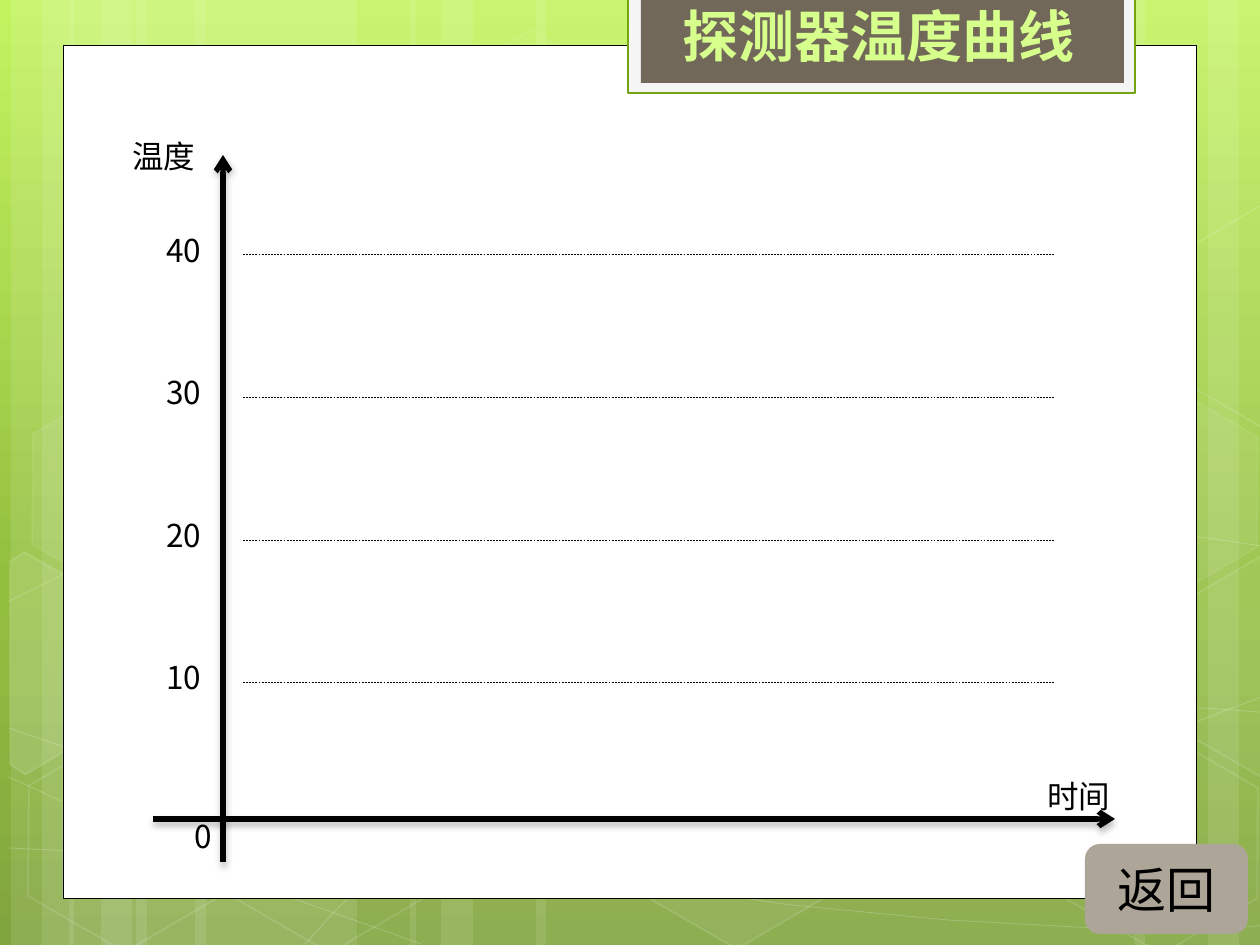
from copy import deepcopy
from math import cos, radians, sin

from lxml.etree import SubElement
from pptx import Presentation
from pptx.dml.color import RGBColor
from pptx.enum.dml import MSO_LINE
from pptx.enum.shapes import MSO_CONNECTOR, MSO_SHAPE
from pptx.enum.text import MSO_ANCHOR, MSO_AUTO_SIZE, PP_ALIGN
from pptx.oxml.ns import qn
from pptx.util import Pt

PX = 914400 // 126
SANS = "Noto Sans CJK SC"
TILT = 30


def paint(fill, color, alpha=100):
    """Give a fill one hex colour and an opacity in percent, or clear it."""
    if color is None:
        fill.background()
        return
    fill.solid()
    fill.fore_color.rgb = RGBColor.from_string(color)
    if alpha < 100:
        clr = fill._xPr.find(".//" + qn("a:srgbClr"))
        SubElement(clr, qn("a:alpha"), val=str(alpha * 1000))


def write(sp, text, font, size, color="000000", bold=False,
          align=PP_ALIGN.LEFT, anchor=MSO_ANCHOR.TOP):
    """Put one formatted line of text in a shape."""
    tf = sp.text_frame
    for name, value in {"word_wrap": True, "vertical_anchor": anchor,
                        "auto_size": MSO_AUTO_SIZE.NONE}.items():
        setattr(tf, name, value)
    p = tf.paragraphs[0]
    p.alignment = align
    r = p.add_run()
    r.text = text
    for name, value in {"name": font, "size": Pt(size), "bold": bold}.items():
        setattr(r.font, name, value)
    paint(r.font.fill, color)
    SubElement(r.font._element, qn("a:ea"), typeface=SANS)


prs = Presentation()
prs.slide_width, prs.slide_height = 1260 * PX, 945 * PX
s = prs.slides.add_slide(prs.slide_layouts[5])

# Background gradient
bg = s.background.fill
bg.gradient()
bg.gradient_angle = 270
stops = s.element.find(".//" + qn("a:gsLst"))
stops.insert(1, deepcopy(stops[0]))
for stop, color, place in zip(bg.gradient_stops, ("C3F35F", "93BF3F", "81A53E"), (0, 0.62, 1)):
    stop.color.rgb = RGBColor.from_string(color)
    stop.position = place

# Translucent vertical bands: left, width
bands = [(136, 221), (11, 63), (42, 105), (195, 221), (69, 63), (101, 105),
         (924, 221), (1208, 63), (1134, 105), (536, 388), (410, 63), (441, 105)]
for left, width in bands:
    sp = s.shapes.add_shape(MSO_SHAPE.RECTANGLE, left * PX, 0, width * PX, 945 * PX)
    sp.shadow.inherit = False
    paint(sp.fill, "FFFFFF", 10)
    paint(sp.line.fill, None)

# Thin curves: start point, then two control points and an end for each segment
curves = [
    [(9, 848), (77, 852), (145, 856), (239, 854), (334, 853), (451, 851), (577, 838),
     (703, 825), (882, 801), (998, 777), (1113, 753), (1231, 716), (1269, 694)],
    [(9, 601), (45, 581), (82, 562), (152, 543), (224, 524), (326, 496), (437, 488),
     (549, 479), (685, 478), (824, 488), (963, 498), (1193, 537), (1269, 547)],
    [(8, 777), (160, 847), (311, 916), (421, 944)],
    [(9, 728), (48, 742), (88, 756), (161, 776), (234, 795), (344, 827), (450, 848),
     (554, 869), (687, 892), (791, 905), (896, 919), (1008, 924), (1075, 927),
     (1140, 932), (1158, 930), (1191, 930), (1223, 929), (1246, 926), (1269, 925)],
    [(305, 944), (328, 919), (350, 893), (381, 871), (411, 848), (454, 823), (489, 805),
     (524, 788), (546, 780), (592, 767), (638, 755), (722, 737), (766, 728),
     (811, 719), (818, 719), (857, 717), (896, 713), (958, 709), (1000, 708),
     (1044, 707), (1116, 708), (1116, 708), (1116, 708), (1201, 708), (1201, 708),
     (1223, 709), (1245, 711), (1256, 712), (1268, 713), (1264, 712), (1268, 713)],
]
outlines = []
for pts in curves:
    line = [pts[0]]
    for i in range(0, len(pts) - 1, 3):
        (ax, ay), (bx, by), (cx, cy), end = pts[i:i + 4]
        line += [(round((ax + 3 * bx + 3 * cx + end[0]) / 8),
                  round((ay + 3 * by + 3 * cy + end[1]) / 8)), end]
    outlines.append((line, None, None, 0.5, 20))

# Hexagons cut by the slide edge: corners as seen, centre, fill opacity
cut_hexagons = [
    ([(10, 561), (24, 552), (121, 607), (120, 718), (25, 774), (10, 765)], (45, 674), 10),
    ([(1167, 611), (1261, 556), (1271, 562), (1271, 772), (1263, 777), (1167, 722)], (1241, 655), 4),
    ([(1167, 261), (1261, 205), (1272, 212), (1271, 422), (1263, 427), (1167, 372)], (1241, 304), None),
]
c, d = cos(radians(TILT)), sin(radians(TILT))
for pts, (cx, cy), alpha in cut_hexagons:
    upright = [(round(cx + (x - cx) * c + (y - cy) * d),
                round(cy - (x - cx) * d + (y - cy) * c)) for x, y in pts]
    outlines.append((upright, TILT, alpha, 1, 12))

for pts, tilt, fill_alpha, weight, line_alpha in outlines:
    builder = s.shapes.build_freeform(*pts[0], scale=PX)
    builder.add_line_segments(pts[1:], close=tilt is not None)
    sp = builder.convert_to_shape()
    sp.shadow.inherit = False
    sp.rotation = tilt or 0
    paint(sp.fill, "FFFFFF" if fill_alpha else None, fill_alpha or 100)
    paint(sp.line.fill, "FFFFFF", line_alpha)
    sp.line.width = Pt(weight)

# Whole hexagons: left, top, fill opacity, line opacity
hexagons = [(421, 45, 4, 8), (626, 742, 6, 12), (14, 745, None, 12), (18, 393, 7, 8),
            (219, 746, None, 12), (1051, 747, None, 12), (1051, 396, 7, 8)]
for left, top, fill_alpha, line_alpha in hexagons:
    sp = s.shapes.add_shape(MSO_SHAPE.HEXAGON, left * PX, top * PX, 221 * PX, 192 * PX)
    sp.shadow.inherit = False
    sp.adjustments[0], sp.adjustments[1] = 0.285, 1.155
    sp.rotation = TILT
    paint(sp.fill, "FFFFFF" if fill_alpha else None, fill_alpha or 100)
    paint(sp.line.fill, "FFFFFF", line_alpha)
    sp.line.width = Pt(1)

# White panel and title plate
panels = [((63, 45, 1134, 854), "FFFFFF", "000000", 0.5),
          ((628, -2, 507, 95), "F5F5F5", "74A510", 1.25),
          ((641, -2, 483, 85), "71685A", None, 0)]
for box, fill, outline, weight in panels:
    sp = s.shapes.add_shape(MSO_SHAPE.RECTANGLE, *(v * PX for v in box))
    sp.shadow.inherit = False
    paint(sp.fill, fill)
    paint(sp.line.fill, outline)
    if outline:
        sp.line.width = Pt(weight)

title = s.shapes.title
title.left, title.top, title.width, title.height = (v * PX for v in (670, -5, 464, 81))
write(title, "探测器温度曲线", "Roboto", 32, "D6FF8C", True)
s.shapes.element.append(title.element)

# Axes with arrowheads, then the dashed grid lines
axes = [(153, 819, 1115, 819), (223, 862, 223, 155)]
grid = [(243, y, 1055, y) for y in (254, 397, 540, 682)]
for ends in axes + grid:
    is_axis = ends in axes
    line = s.shapes.add_connector(MSO_CONNECTOR.STRAIGHT, *(v * PX for v in ends))
    paint(line.line.fill, "000000")
    line.line.width = Pt(3 if is_axis else 0.25)
    if not is_axis:
        line.line.dash_style = MSO_LINE.DASH
    sp_pr = line.element.spPr
    effects = SubElement(sp_pr, qn("a:effectLst"))
    if is_axis:
        SubElement(sp_pr.find(qn("a:ln")), qn("a:tailEnd"), type="arrow")
        shadow = SubElement(effects, qn("a:outerShdw"), blurRad=str(Pt(4)), dist=str(Pt(2)),
                            dir="5400000", rotWithShape="0")
        color = SubElement(shadow, qn("a:srgbClr"), val="000000")
        SubElement(color, qn("a:alpha"), val="28000")

# Axis names and tick labels
labels = [("时间", "League Spartan", (1035, 771, 136, 50)),
          ("温度", "League Spartan", (120, 131, 101, 50)),
          ("0", SANS, (182, 811, 89, 50))]
labels += [(str(40 - 10 * i), SANS, (154, 225 + round(142.3 * i), 89, 58)) for i in range(4)]
for text, font, box in labels:
    write(s.shapes.add_textbox(*(v * PX for v in box)), text, font, 18)

# Return button
button = s.shapes.add_shape(MSO_SHAPE.ROUNDED_RECTANGLE, *(v * PX for v in (1085, 844, 163, 90)))
button.shadow.inherit = False
paint(button.fill, "ADA598")
paint(button.line.fill, None)
write(button, "返回", SANS, 28, align=PP_ALIGN.CENTER, anchor=MSO_ANCHOR.MIDDLE)

prs.save("out.pptx")
